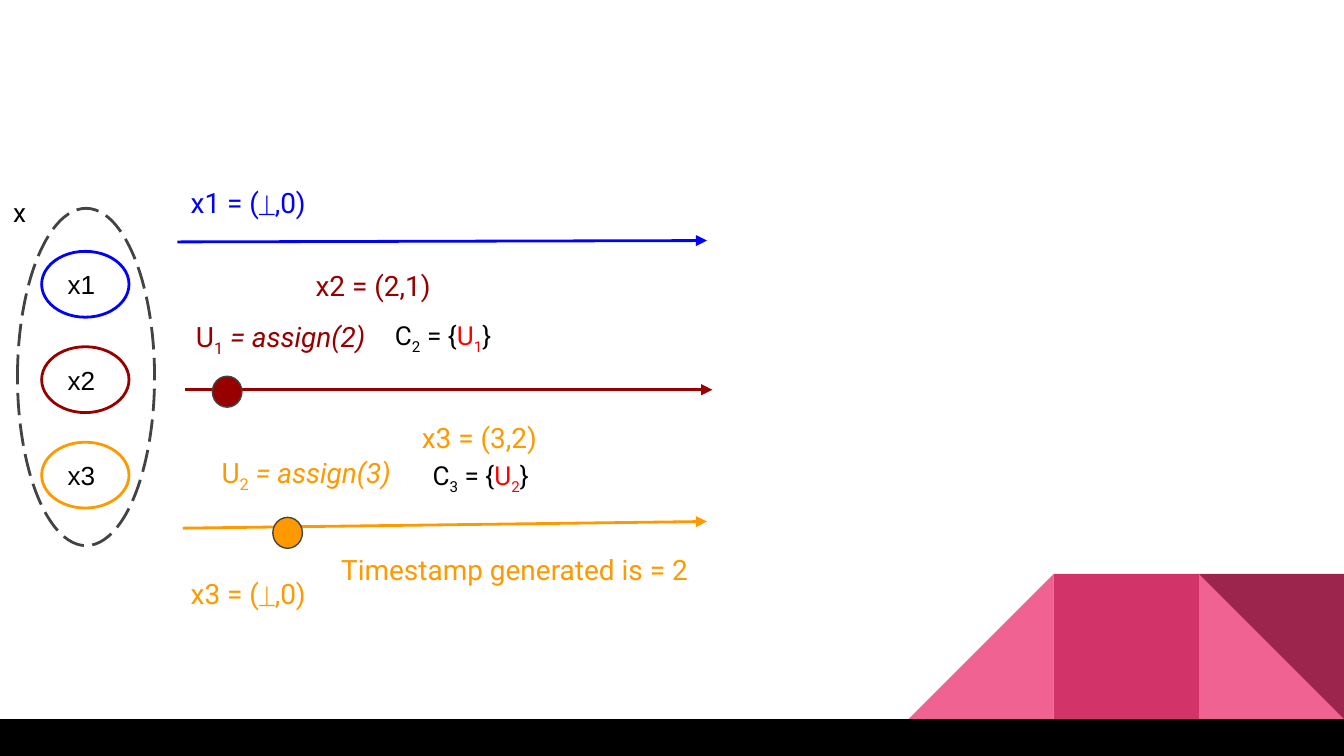
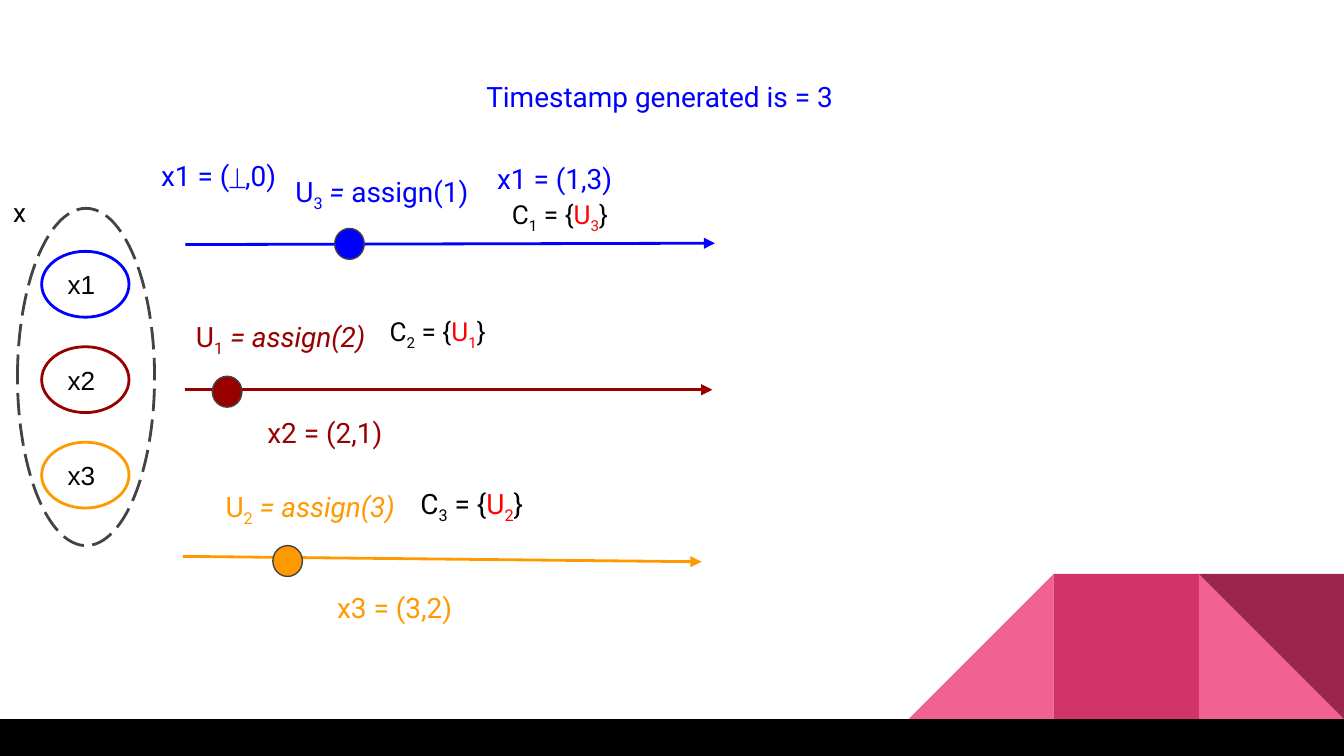
from lxml import etree
from pptx import Presentation
from pptx.dml.color import RGBColor
from pptx.enum import dml, shapes, text
from pptx.oxml import ns
from pptx.util import Inches, Pt

BLUE, RED, GOLD = "0000FF", "980000", "FF9900"
BLACK, WHITE, GREY, MARK = "000000", "FFFFFF", "434343", "FF0000"
FORM = shapes.MSO_SHAPE


def paint(shape, fill, line=None, width=1.5):
    shape.shadow.inherit = False
    shape.fill.solid()
    shape.fill.fore_color.rgb = RGBColor.from_string(fill)
    if line:
        shape.line.color.rgb = RGBColor.from_string(line)
        shape.line.width = Pt(width)
    else:
        shape.line.fill.background()


def write(shape, runs, font="Roboto"):
    """Fill a shape with runs of (text, size, colour, style); style is "", "sub" or "i"."""
    frame = shape.text_frame
    frame.word_wrap = True
    frame.margin_left = frame.margin_right = Inches(0.1)
    frame.margin_top = frame.margin_bottom = Inches(0.1)
    para = frame.paragraphs[0]
    para.alignment = text.PP_ALIGN.LEFT
    for words, size, color, style in runs:
        run = para.add_run()
        run.text = words
        run.font.name = font
        run.font.size = Pt(size)
        run.font.color.rgb = RGBColor.from_string(color)
        if style == "i":
            run.font.italic = True
        elif style == "sub":
            run.font._element.set("baseline", "-25000")


prs = Presentation()
prs.slide_width = Inches(10)
prs.slide_height = prs.slide_width * 9 // 16
blank = prs.slide_layouts[6]
pages = [prs.slides.add_slide(blank) for _ in range(2)]

# Corner art and bottom band, shared through the layout
SIDE = 1.08
decor = [
    (FORM.RIGHT_TRIANGLE, 8.92, 4.27, SIDE, SIDE, 0, "F06292"),
    (FORM.RIGHT_TRIANGLE, 6.76, 4.27, SIDE, SIDE, 270, "F06292"),
    (FORM.RECTANGLE, 7.84, 4.27, SIDE, SIDE, 0, "D23369"),
    (FORM.RIGHT_TRIANGLE, 8.92, 4.27, SIDE, SIDE, 180, "9C254D"),
    (FORM.RECTANGLE, 0, 5.35, 10, 0.28, 0, BLACK),
]
for form, x, y, w, h, turn, color in decor:
    part = pages[0].shapes.add_shape(form, Inches(x), Inches(y), Inches(w), Inches(h))
    part.rotation = turn
    paint(part, color)
    blank.shapes.element.append(part.element)

# Timelines: x1, y1, x2, y2, colour
lines = [
    [(1.32, 1.8, 5.26, 1.79, BLUE), (1.38, 2.9, 5.3, 2.9, RED),
     (1.36, 3.93, 5.26, 3.88, GOLD)],
    [(1.38, 1.82, 5.32, 1.81, BLUE), (1.38, 2.9, 5.3, 2.9, RED),
     (1.36, 4.14, 5.22, 4.18, GOLD)],
]
# Update events: left, top, colour
dots = [
    [(1.58, 2.8, RED), (2.03, 3.85, GOLD)],
    [(1.58, 2.8, RED), (2.03, 4.06, GOLD), (2.49, 1.7, BLUE)],
]
# Plain notes: left, top, width, text, colour
notes = [
    [(2.25, 1.9, 1.19, "x2 = (2,1)", RED), (1.32, 1.28, 1.19, "x1 = (⏊,0)", BLUE),
     (1.32, 4.19, 1.19, "x3 = (⏊,0)", GOLD), (3.04, 3.03, 1.19, "x3 = (3,2)", GOLD),
     (2.44, 4.01, 2.91, "Timestamp generated is = 2", GOLD)],
    [(1.89, 2.99, 1.19, "x2 = (2,1)", RED), (1.1, 1.08, 1.19, "x1 = (⏊,0)", BLUE),
     (2.41, 4.29, 1.19, "x3 = (3,2)", GOLD), (3.6, 1.1, 1.19, "x1 = (1,3)", BLUE),
     (3.52, 0.49, 2.96, "Timestamp generated is = 3", BLUE)],
]
# Updates: left, top, index, runs after the index, colour
calls = [
    [(1.55, 3.29, "2", [(" = assign(3)", "i")], GOLD),
     (1.36, 2.28, "1", [(" = assign(2)", "i")], RED)],
    [(2.1, 1.2, "3", [(" = ", "i"), ("assign(1)", "")], BLUE),
     (1.58, 3.54, "2", [(" = assign(3)", "i")], GOLD),
     (1.36, 2.28, "1", [(" = assign(2)", "i")], RED)],
]
# Causal sets: left, top, width, height, size, index, update
sets = [
    [(2.84, 2.28, 1.28, 0.71, 14, "2", "1"), (3.12, 3.32, 1.19, 0.46, 14, "3", "2")],
    [(2.8, 2.25, 1.51, 0.96, 14, "2", "1"), (3.03, 3.52, 2.53, 0.48, 15, "3", "2"),
     (3.71, 1.38, 1.19, 0.46, 14, "1", "3")],
]

for page, rays, marks, facts, acts, groups in zip(pages, lines, dots, notes, calls, sets):
    draw = page.shapes

    # Object x and its replicas
    ring = draw.add_shape(FORM.OVAL, Inches(0.13), Inches(1.55), Inches(1.02), Inches(2.51))
    paint(ring, WHITE, GREY)
    ring.line.dash_style = dml.MSO_LINE.LONG_DASH
    for i, color in enumerate((BLUE, RED, GOLD)):
        node = draw.add_shape(FORM.FLOWCHART_CONNECTOR, Inches(0.31),
                              Inches(1.87 + 0.71 * i), Inches(0.65), Inches(0.49))
        paint(node, WHITE, color)
        node.text_frame.vertical_anchor = text.MSO_ANCHOR.MIDDLE
        write(node, [(f"x{i + 1}", 14, BLACK, "")], "Arial")

    for x1, y1, x2, y2, color in rays:
        ray = draw.add_connector(shapes.MSO_CONNECTOR.STRAIGHT,
                                 Inches(x1), Inches(y1), Inches(x2), Inches(y2))
        ray.line.color.rgb = RGBColor.from_string(color)
        ray.line.width = Pt(1.5)
        etree.SubElement(ray.line._get_or_add_ln(), ns.qn("a:tailEnd"), type="triangle")
        etree.SubElement(ray.element.spPr, ns.qn("a:effectLst"))

    for x, y, color in marks:
        dot = draw.add_shape(FORM.FLOWCHART_CONNECTOR, Inches(x), Inches(y),
                             Inches(0.22), Inches(0.23))
        paint(dot, color, GREY, 0.75)

    labels = [(0, 1.36, 0.38, 0.43, [("x", 14, BLACK, "")])]
    for x, y, w, words, color in facts:
        head, sign, tail = words.partition("⏊")
        runs = [(head, 15, color, ""), (sign, 14, color, ""), (tail, 15, color, "")]
        labels.append((x, y, w, 0.45, [run for run in runs if run[0]]))
    for x, y, num, rest, color in acts:
        runs = [("U", ""), (num, "sub"), *rest]
        labels.append((x, y, 1.55, 0.48, [(t, 15, color, style) for t, style in runs]))
    for x, y, w, h, size, num, item in groups:
        runs = [("C", BLACK, ""), (num, BLACK, "sub"), (" = {", BLACK, ""),
                ("U", MARK, ""), (item, MARK, "sub"), ("}", BLACK, "")]
        labels.append((x, y, w, h, [(t, size, color, style) for t, color, style in runs]))

    for x, y, w, h, runs in labels:
        write(draw.add_textbox(Inches(x), Inches(y), Inches(w), Inches(h)), runs)

prs.save("out.pptx")
